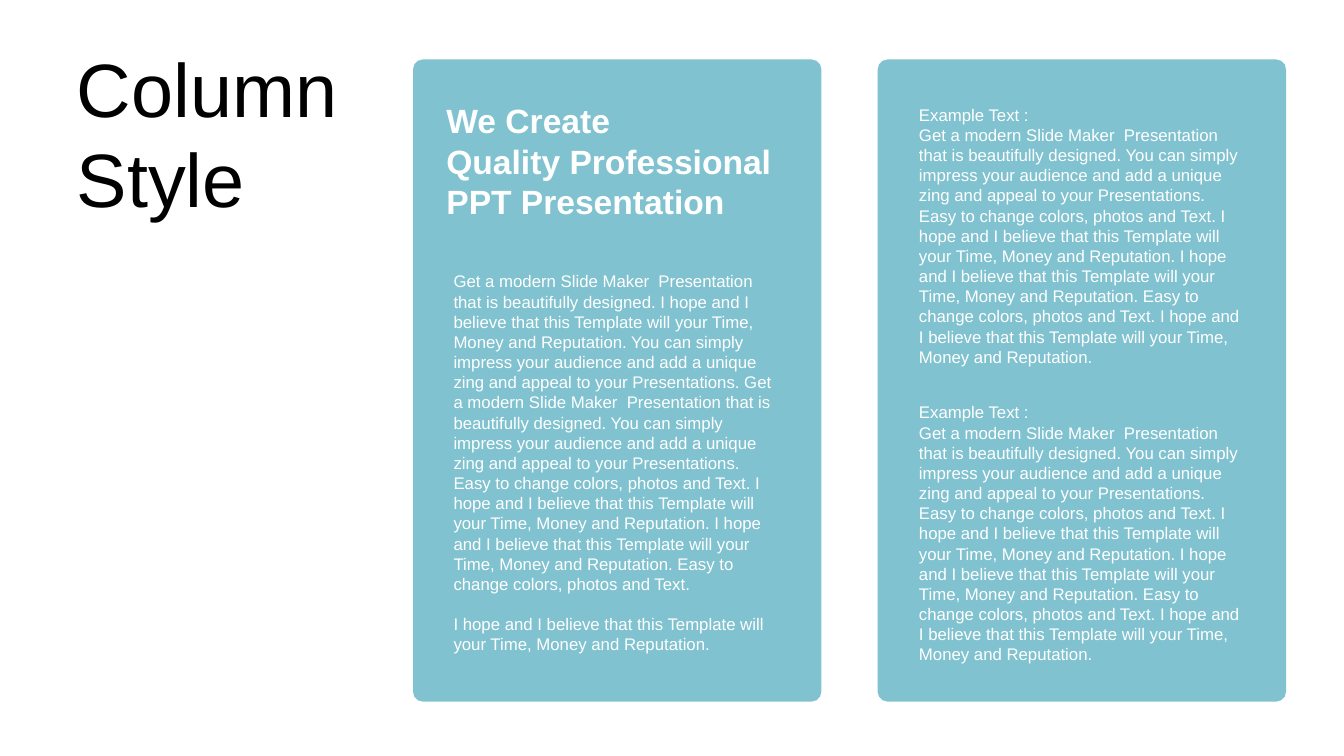
from pptx import Presentation
from pptx.dml.color import RGBColor
from pptx.enum.shapes import MSO_SHAPE as Shape
from pptx.enum.text import MSO_ANCHOR as Anchor, MSO_AUTO_SIZE as Fit, PP_ALIGN as Align
from pptx.oxml.ns import qn
from pptx.util import Cm, Pt
from lxml.etree import SubElement

TEAL = RGBColor(0x4B, 0xA9, 0xBB)
WHITE = RGBColor(0xFF, 0xFF, 0xFF)
BLACK = RGBColor(0, 0, 0)
FONT = "Arial"

# Sentences shared by the columns
MODERN = "Get a modern Slide Maker  Presentation that is beautifully designed."
HOPE = "I hope and I believe that this Template will your Time, Money and Reputation."
IMPRESS = ("You can simply impress your audience and add a unique zing "
           "and appeal to your Presentations.")
EASY = "Easy to change colors, photos and Text."

HEAD = ["We Create", "Quality Professional", "PPT Presentation"]
STORY = " ".join([MODERN, HOPE, IMPRESS, MODERN, IMPRESS, EASY, HOPE, HOPE, EASY])
SAMPLE = ["Example Text :",
          " ".join([MODERN, IMPRESS, EASY, HOPE, HOPE, EASY, HOPE])]


def write(frame, lines, size, pitch, color, bold=False, gap=0):
    frame.word_wrap = True
    frame.auto_size = Fit.NONE
    for i, line in enumerate(lines):
        par = frame.paragraphs[0] if i == 0 else frame.add_paragraph()
        par.alignment = Align.LEFT
        par.line_spacing = Pt(pitch)
        par.space_before = Pt(gap if i else 0)
        run = par.add_run()
        run.text = line
        font = run.font
        font.name, font.size, font.bold = FONT, Pt(size), bold
        font.color.rgb = color


def add_title(slide, text):
    title = slide.shapes.title
    title.left, title.top = Cm(1.68), Cm(0.89)
    title.width, title.height = Cm(8.05), Cm(4.88)
    title.text_frame.vertical_anchor = Anchor.MIDDLE
    write(title.text_frame, [text], 54, 64.5, BLACK)


def add_panel(slide, left):
    panel = slide.shapes.add_shape(
        Shape.ROUNDED_RECTANGLE, Cm(left), Cm(1.5), Cm(10.29), Cm(16.18))
    panel.adjustments[0] = 0.024
    panel.shadow.inherit = False
    panel.line.fill.background()
    panel.fill.solid()
    panel.fill.fore_color.rgb = TEAL
    # Let 30 % of the background through
    tint = panel.fill._xPr.find(qn("a:solidFill"))[0]
    SubElement(tint, qn("a:alpha")).set("val", "70000")


def add_text(slide, left, top, height, lines, gap=0):
    box = slide.shapes.add_textbox(Cm(left), Cm(top), Cm(8.74), Cm(height))
    write(box.text_frame, lines, 12, 14.4, WHITE, gap=gap)


def add_head(slide, left, top):
    box = slide.shapes.add_textbox(Cm(left), Cm(top), Cm(8.84), Cm(3.07))
    frame = box.text_frame
    frame.margin_left = frame.margin_right = Cm(0.1)
    frame.margin_top = frame.margin_bottom = 0
    write(frame, HEAD, 24, 29, WHITE, bold=True)


def main():
    prs = Presentation()
    prs.slide_width, prs.slide_height = Cm(33.87), Cm(19.05)
    slide = prs.slides.add_slide(prs.slide_layouts[5])
    add_title(slide, "Column Style")

    # Column panels
    for left in (10.41, 22.12):
        add_panel(slide, left)

    # Left column
    add_head(slide, 11.15, 2.51)
    add_text(slide, 11.18, 6.71, 10.01, [STORY, HOPE], gap=14.4)

    # Right column
    for top in (2.51, 10.01):
        add_text(slide, 22.91, top, 6.93, SAMPLE)

    prs.save("out.pptx")


if __name__ == "__main__":
    main()
